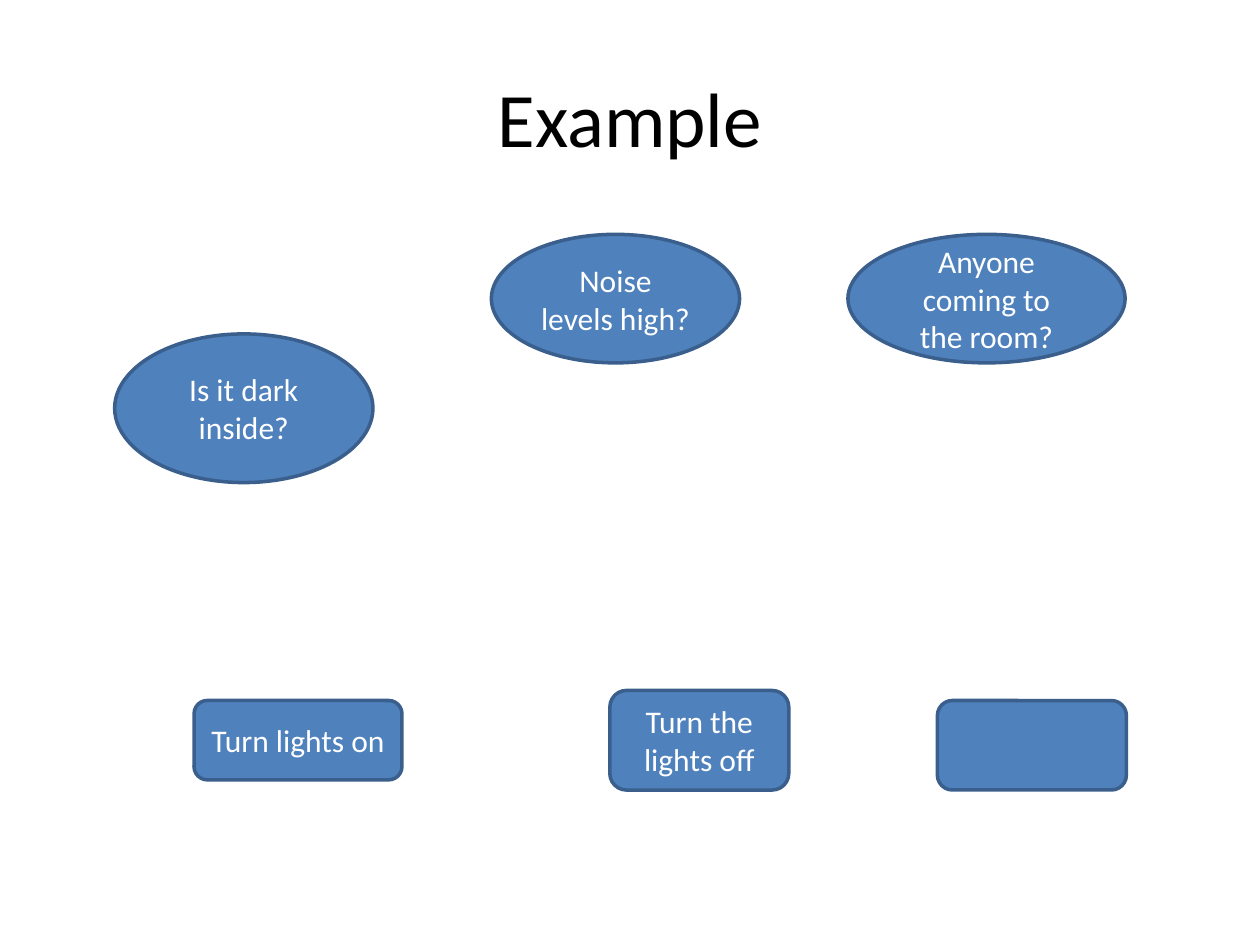
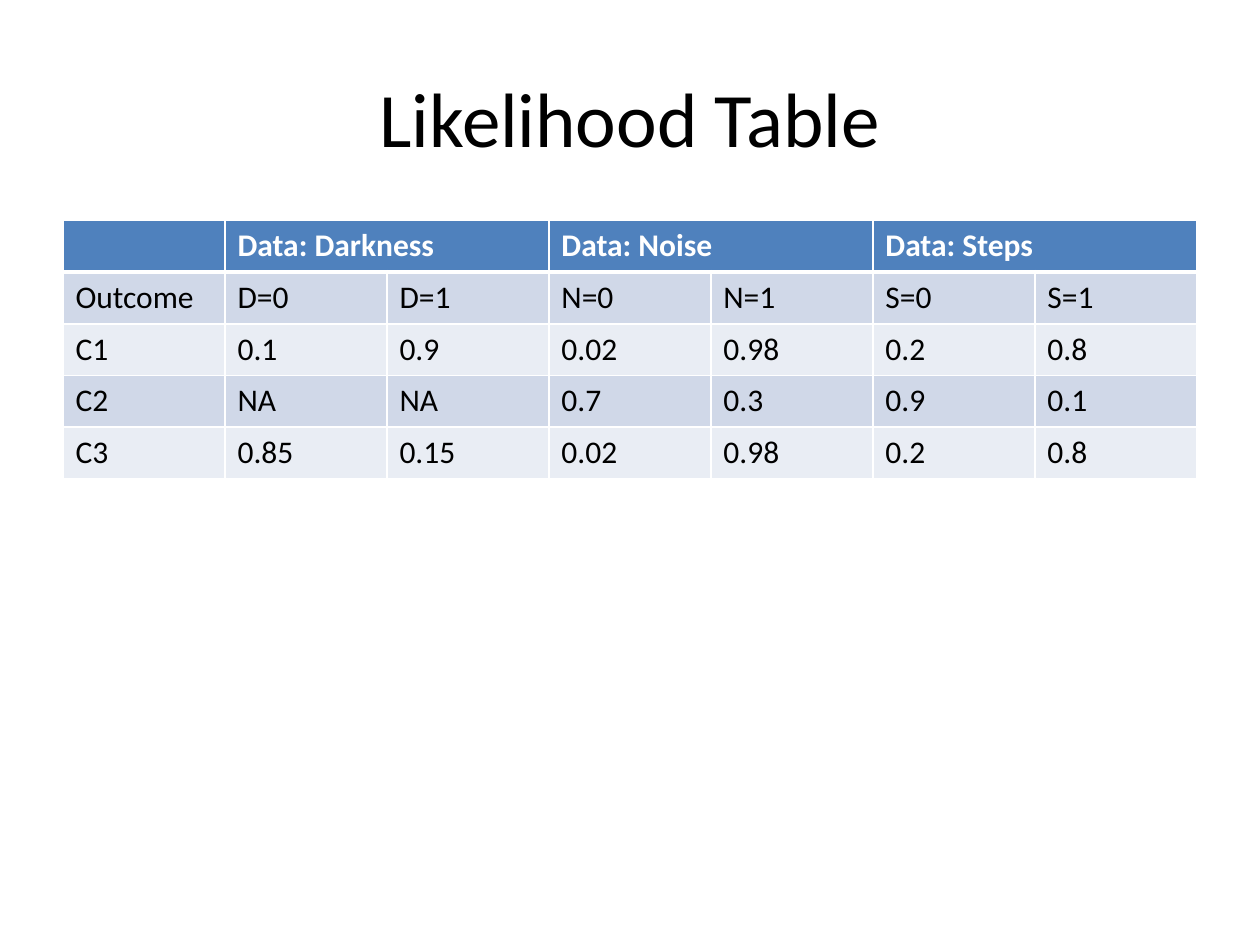
"""Build two slides: a question-and-action example and its likelihood table."""
from lxml import etree
from pptx import Presentation
from pptx.dml.color import RGBColor
from pptx.enum.shapes import MSO_SHAPE
from pptx.enum.text import MSO_ANCHOR, PP_ALIGN
from pptx.oxml.ns import qn
from pptx.util import Inches, Pt

COLORS = {"blue": "4F81BD", "outline": "3A5F8C", "white": "FFFFFF", "black": "000000",
          "band_dark": "D0D8E8", "band_light": "E9EDF4"}
FONT = "Calibri"
SLIDE_W, SLIDE_H = 10, 7.5
MARGIN = 0.5
CONTENT_W = SLIDE_W - 2 * MARGIN
TITLE_TOP, TITLE_H = 0.3, 1.25
TABLE_TOP, ROW_H = 1.75, 0.41

QUESTIONS = [
    ("Is it dark inside?", 0.91, 2.65, 2.05, 1.18),
    ("Noise levels high?", 3.9, 1.86, 1.97, 1.02),
    ("Anyone coming to the room?", 6.73, 1.86, 2.2, 1.02),
]
ACTIONS = [
    ("Turn lights on", 1.54, 5.56, 1.65, 0.63),
    ("Turn the lights off", 4.84, 5.48, 1.42, 0.79),
    ("", 7.44, 5.56, 1.5, 0.71),
]
GROUPS = ["Data: Darkness", "Data: Noise", "Data: Steps"]
LIKELIHOODS = [
    ["Outcome", "D=0", "D=1", "N=0", "N=1", "S=0", "S=1"],
    ["C1", "0.1", "0.9", "0.02", "0.98", "0.2", "0.8"],
    ["C2", "NA", "NA", "0.7", "0.3", "0.9", "0.1"],
    ["C3", "0.85", "0.15", "0.02", "0.98", "0.2", "0.8"],
]


def rgb(name):
    return RGBColor.from_string(COLORS[name])


def write(frame, text, size, color, bold=False, align=None):
    frame.text = text
    paragraph = frame.paragraphs[0]
    paragraph.alignment = align
    font = paragraph.font if not text else paragraph.runs[0].font
    font.name, font.size, font.bold = FONT, Pt(size), bold
    font.color.rgb = rgb(color)


def titled_slide(prs, text):
    slide = prs.slides.add_slide(prs.slide_layouts[5])
    title = slide.shapes.title
    title.left, title.top = Inches(MARGIN), Inches(TITLE_TOP)
    title.width, title.height = Inches(CONTENT_W), Inches(TITLE_H)
    title.text_frame.vertical_anchor = MSO_ANCHOR.MIDDLE
    write(title.text_frame, text, 44, "black", align=PP_ALIGN.CENTER)
    return slide


def add_node(slide, kind, text, *box):
    node = slide.shapes.add_shape(kind, *map(Inches, box))
    node.shadow.inherit = False
    node.fill.solid()
    node.fill.fore_color.rgb = rgb("blue")
    node.line.color.rgb = rgb("outline")
    node.line.width = Pt(2)
    if text:
        node.text_frame.vertical_anchor = MSO_ANCHOR.MIDDLE
        write(node.text_frame, text, 18, "white", align=PP_ALIGN.CENTER)


def style_cell(cell, fill, top, bottom):
    props = cell._tc.get_or_add_tcPr()
    for side, width in (("L", 1), ("R", 1), ("T", top), ("B", bottom)):
        line = etree.SubElement(props, qn(f"a:ln{side}"), w=str(Pt(width)))
        solid = etree.SubElement(line, qn("a:solidFill"))
        etree.SubElement(solid, qn("a:srgbClr"), val=COLORS["white"])
    cell.fill.solid()
    cell.fill.fore_color.rgb = rgb(fill)


def add_likelihood_table(slide):
    header = [""] + [text for group in GROUPS for text in (group, "")]
    rows = [header] + LIKELIHOODS
    table = slide.shapes.add_table(
        len(rows), len(header), Inches(MARGIN), Inches(TABLE_TOP),
        Inches(CONTENT_W), Inches(ROW_H * len(rows))).table
    for r, row in enumerate(rows):
        is_header = r == 0
        fill = "blue" if is_header else "band_dark" if r % 2 else "band_light"
        for c, text in enumerate(row):
            cell = table.cell(r, c)
            style_cell(cell, fill, 3 if r == 1 else 1, 3 if is_header else 1)
            write(cell.text_frame, text, 18, "white" if is_header else "black", is_header)
    for c in range(1, len(header), 2):
        table.cell(0, c).merge(table.cell(0, c + 1))


prs = Presentation()
prs.slide_width, prs.slide_height = Inches(SLIDE_W), Inches(SLIDE_H)

example = titled_slide(prs, "Example")
for kind, nodes in ((MSO_SHAPE.OVAL, QUESTIONS), (MSO_SHAPE.ROUNDED_RECTANGLE, ACTIONS)):
    for node in nodes:
        add_node(example, kind, *node)

add_likelihood_table(titled_slide(prs, "Likelihood Table"))
prs.save("out.pptx")
